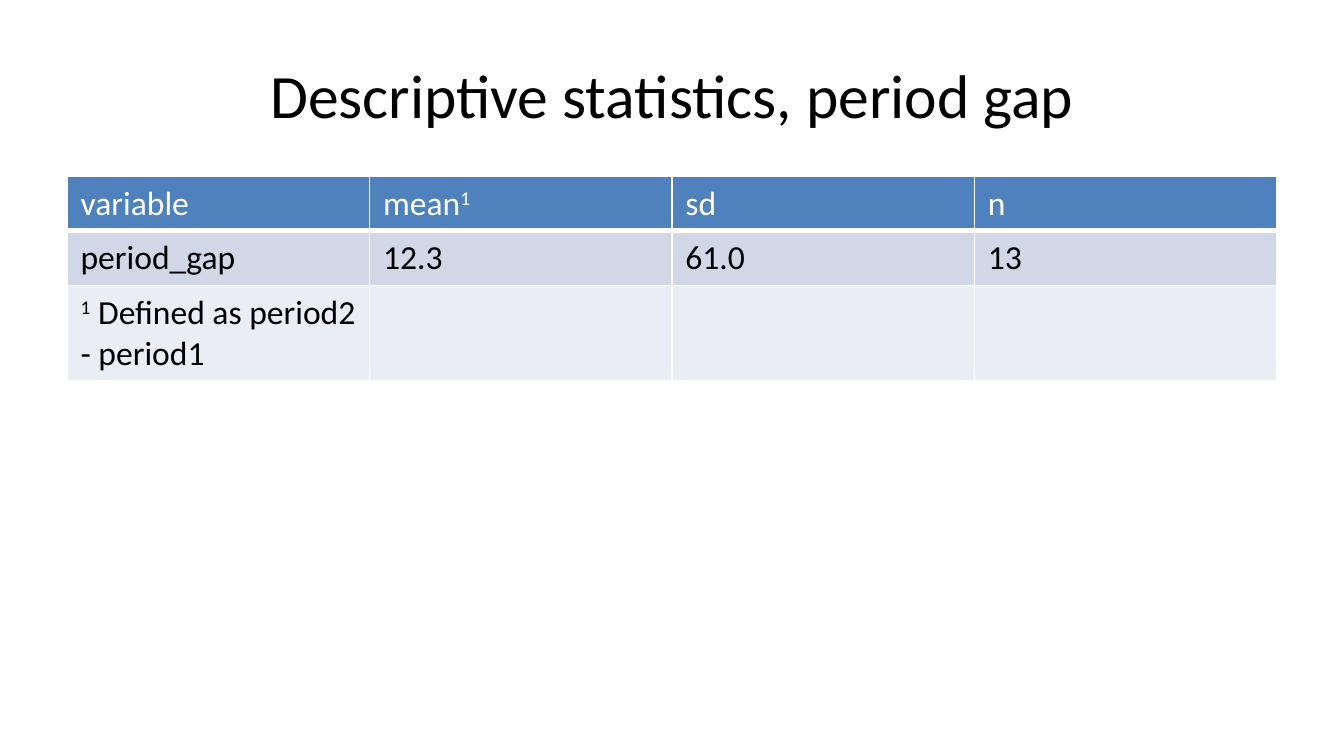
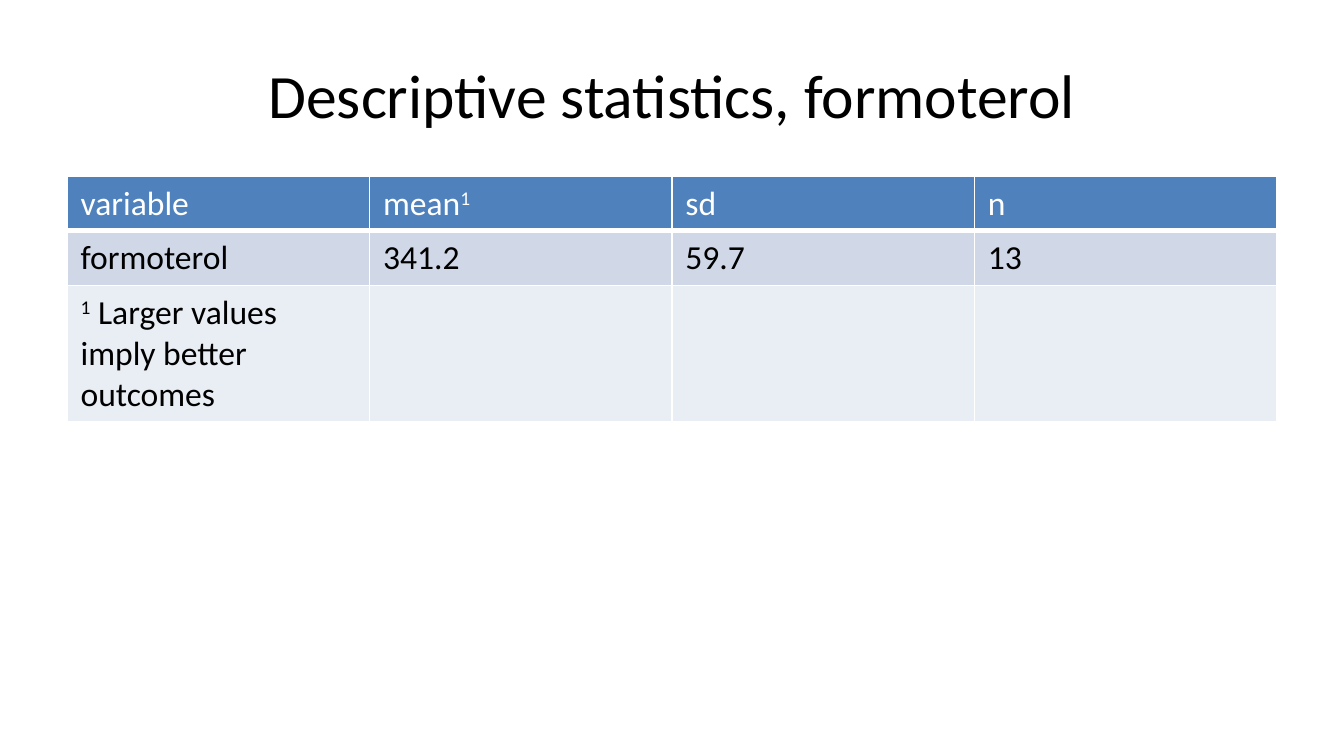
from dataclasses import dataclass
from lxml import etree
from pptx import Presentation
from pptx.dml.color import RGBColor
from pptx.enum import text
from pptx.oxml import ns
from pptx.util import Pt


@dataclass(frozen=True)
class Theme:
    font: str = "Calibri"
    head: int = 33
    body: int = 18
    ink: str = "000000"
    paper: str = "FFFFFF"
    fills: tuple = ("4F81BD", "D0D8E8", "E9EDF4")
    thin: int = 1
    thick: int = 3


THEME = Theme()
WIDE, TALL = 720, 405
TITLE = (36, 16.5, 648, 67.5)
GRID = (36, 94.5, 648)
LINE, PAD = 22, 7.2
HEADS = ("variable", "mean^1", "sd", "n")
PAGES = (
    ("Descriptive statistics, period gap",
     ("period_gap", "12.3", "61.0", "13"),
     "^1 Defined as period2 - period1", 2),
    ("Descriptive statistics, formoterol",
     ("formoterol", "341.2", "59.7", "13"),
     "^1 Larger values imply better outcomes", 3),
)


def style(para, size, color):
    para.font.name = THEME.font
    para.font.size = Pt(size)
    para.font.color.rgb = RGBColor.from_string(color)


def write(para, words):
    base, mark, rest = words.partition("^")
    if base:
        para.add_run().text = base
    if mark:
        note = para.add_run()
        note.text = rest[0]
        note._r.get_or_add_rPr().set("baseline", "30000")
        if rest[1:]:
            para.add_run().text = rest[1:]


def border(cell, low):
    props = cell._tc.get_or_add_tcPr()
    for side in "LRTB":
        width = low if side == "B" else THEME.thin
        line = etree.SubElement(props, ns.qn(f"a:ln{side}"), w=str(Pt(width)))
        fill = etree.SubElement(line, ns.qn("a:solidFill"))
        etree.SubElement(fill, ns.qn("a:srgbClr"), val=THEME.paper)


def title(slide, box, words):
    frame = slide.shapes.add_textbox(*map(Pt, box)).text_frame
    frame.word_wrap = True
    frame.vertical_anchor = text.MSO_ANCHOR.MIDDLE
    para = frame.paragraphs[0]
    para.alignment = text.PP_ALIGN.CENTER
    write(para, words)
    style(para, THEME.head, THEME.ink)


def grid(slide, box, rows, lines):
    left, top, width = box
    highs = [LINE * count + PAD for count in lines]
    frame = slide.shapes.add_table(
        len(rows), len(HEADS), Pt(left), Pt(top), Pt(width), Pt(sum(highs)))
    table = frame.table
    table.first_row = table.horz_banding = False
    for r, (row, high, fill) in enumerate(zip(rows, highs, THEME.fills)):
        table.rows[r].height = Pt(high)
        color = THEME.ink if r else THEME.paper
        for c, words in enumerate(row):
            cell = table.cell(r, c)
            border(cell, THEME.thin if r else THEME.thick)
            cell.fill.solid()
            cell.fill.fore_color.rgb = RGBColor.from_string(fill)
            para = cell.text_frame.paragraphs[0]
            write(para, words)
            style(para, THEME.body, color)


def main():
    deck = Presentation()
    deck.slide_width, deck.slide_height = Pt(WIDE), Pt(TALL)
    for name, stats, note, lines in PAGES:
        slide = deck.slides.add_slide(deck.slide_layouts[6])
        title(slide, TITLE, name)
        rows = (HEADS, stats, (note, "", "", ""))
        grid(slide, GRID, rows, (1, 1, lines))
    deck.save("out.pptx")


if __name__ == "__main__":
    main()
